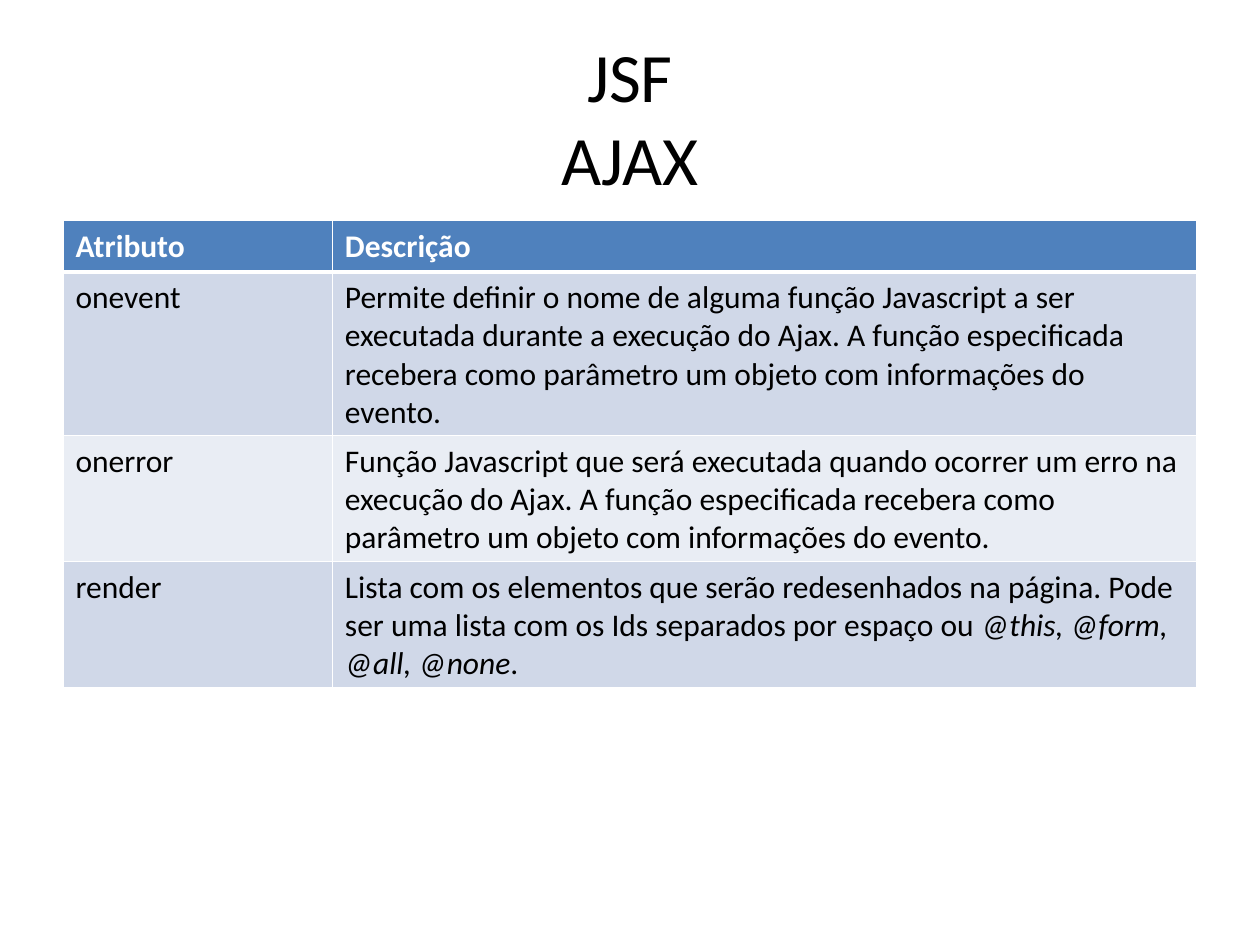
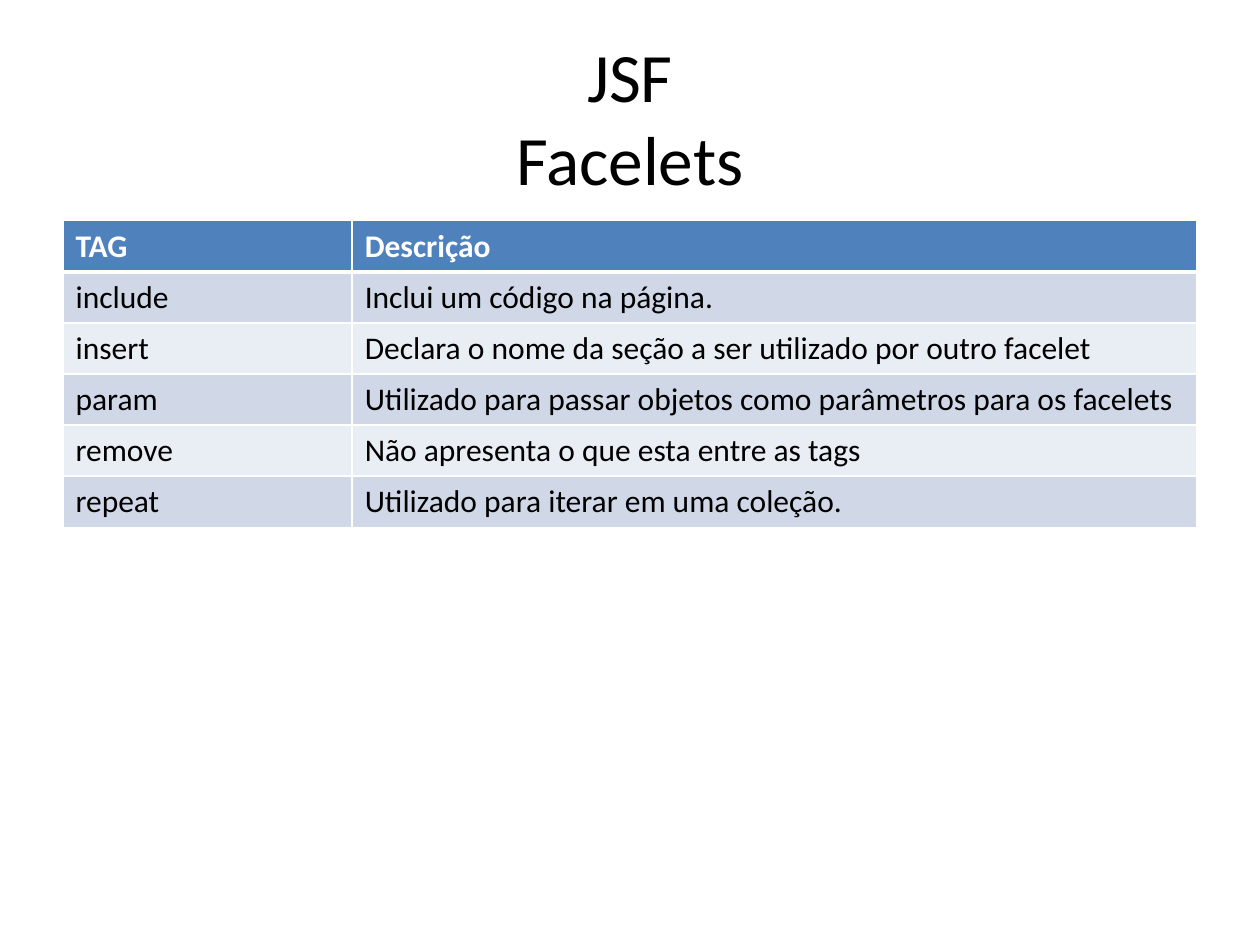
from lxml.etree import SubElement
from pptx import Presentation
from pptx.dml.color import RGBColor
from pptx.enum.text import MSO_ANCHOR, PP_ALIGN
from pptx.oxml.ns import qn
from pptx.util import Cm, Pt

FONT = "Calibri"
BLACK = RGBColor(0x00, 0x00, 0x00)
WHITE = RGBColor(0xFF, 0xFF, 0xFF)
HEADER = RGBColor(0x4F, 0x81, 0xBD)
BANDS = (RGBColor(0xD0, 0xD8, 0xE8), RGBColor(0xE9, 0xED, 0xF4))

LEFT, WIDTH = 1.27, 22.86
TABLE_TOP, ROW_HEIGHT = 4.45, 1.03
THIN, THICK = Pt(1), Pt(3)

AJAX_ROWS = [
    ("Atributo", "Descrição"),
    ("onevent", "Permite definir o nome de alguma função Javascript a ser "
     "executada durante a execução do Ajax. A função especificada recebera "
     "como parâmetro um objeto com informações do evento."),
    ("onerror", "Função Javascript que será executada quando ocorrer um erro "
     "na execução do Ajax. A função especificada recebera como parâmetro um "
     "objeto com informações do evento."),
    ("render", ["Lista com os elementos que serão redesenhados na página. Pode "
                "ser uma lista com os Ids separados por espaço ou ",
                ("@this, @form, @all, @none", True), "."]),
]
FACELETS_ROWS = [
    ("TAG", "Descrição"),
    ("include", "Inclui um código na página."),
    ("insert", "Declara o nome da seção a ser utilizado por outro facelet"),
    ("param", "Utilizado para passar objetos como parâmetros para os facelets"),
    ("remove", "Não apresenta o que esta entre as tags"),
    ("repeat", "Utilizado para iterar em uma coleção."),
]


def write(para, content, size=18, color=BLACK, bold=False, align=PP_ALIGN.LEFT):
    """Write a string, or a list of strings and (string, italic) pairs."""
    para.alignment = align
    for part in [content] if isinstance(content, str) else content:
        text, italic = (part, False) if isinstance(part, str) else part
        for number, line in enumerate(text.split("\n")):
            if number:
                para.add_line_break()
            span = para.add_run()
            span.text = line
            span.font.name = FONT
            span.font.size = Pt(size)
            span.font.color.rgb = color
            span.font.bold = bold
            span.font.italic = italic


def add_title(page, text):
    """Add the centred two-line title."""
    box = page.shapes.add_textbox(Cm(LEFT), Cm(0.76), Cm(WIDTH), Cm(3.18))
    box.text_frame.word_wrap = True
    box.text_frame.vertical_anchor = MSO_ANCHOR.MIDDLE
    write(box.text_frame.paragraphs[0], text, size=39.6, align=PP_ALIGN.CENTER)


def add_borders(cell, top, bottom):
    """Draw white lines round a cell; call before the cell is filled."""
    properties = cell._tc.get_or_add_tcPr()
    sides = {"a:lnL": THIN, "a:lnR": THIN, "a:lnT": top, "a:lnB": bottom}
    for tag, width in sides.items():
        line = SubElement(properties, qn(tag), w=str(width))
        fill = SubElement(line, qn("a:solidFill"))
        SubElement(fill, qn("a:srgbClr"), val=str(WHITE))


def add_banded_table(page, rows, first_width):
    """Add a two-column table with a blue header and banded rows."""
    frame = page.shapes.add_table(len(rows), 2, Cm(LEFT), Cm(TABLE_TOP),
                                  Cm(WIDTH), Cm(ROW_HEIGHT * len(rows)))
    table = frame.table
    table.columns[0].width = Cm(first_width)
    table.columns[1].width = Cm(WIDTH - first_width)
    for row, contents in enumerate(rows):
        is_header = row == 0
        for column, content in enumerate(contents):
            cell = table.cell(row, column)
            add_borders(cell, top=THICK if row == 1 else THIN,
                        bottom=THICK if is_header else THIN)
            cell.fill.solid()
            cell.fill.fore_color.rgb = HEADER if is_header else BANDS[(row - 1) % 2]
            write(cell.text_frame.paragraphs[0], content,
                  color=WHITE if is_header else BLACK, bold=is_header)


def main():
    """Build and save the deck."""
    deck = Presentation()
    deck.slide_width, deck.slide_height = Cm(25.4), Cm(19.05)
    for title, rows, first_width in (("JSF\nAJAX", AJAX_ROWS, 5.43),
                                     ("JSF\nFacelets", FACELETS_ROWS, 5.83)):
        page = deck.slides.add_slide(deck.slide_layouts[6])
        add_title(page, title)
        add_banded_table(page, rows, first_width)
    deck.save("out.pptx")


main()
